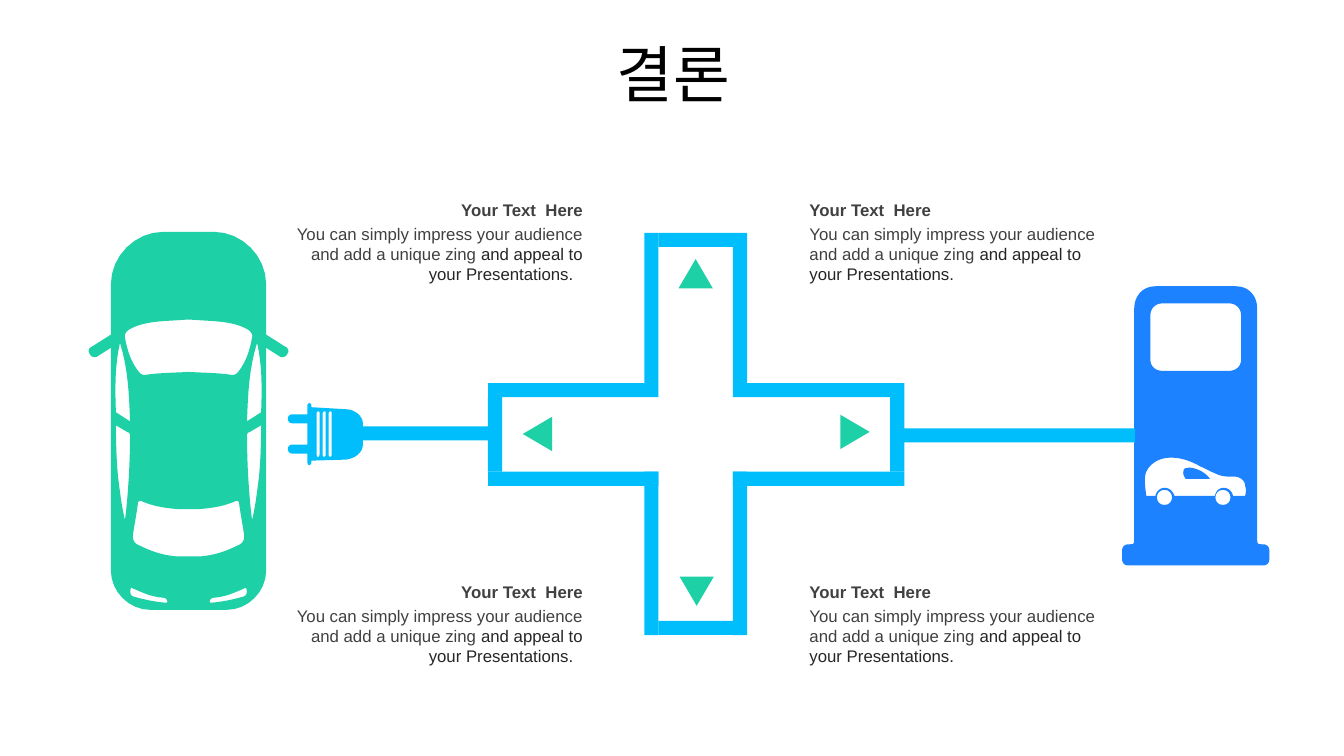
import pptx
import pptx.dml.color
import pptx.enum.shapes
import pptx.enum.text
import pptx.util
from lxml import etree

Inches = pptx.util.Inches
ALIGN = pptx.enum.text.PP_ALIGN
SHAPES = pptx.enum.shapes.MSO_SHAPE
SKY, GREEN, BLUE = "00BDFB", "1ED0A6", "1C82FF"

TITLE = "결론"
HEADING = "Your Text  Here"
BODY = [("You can simply impress your audience and add a unique zing ", "404040"),
        ("and appeal to your Presentations.  ", "262626")]
NOTE_COLUMNS = [(2.78, 3.1, ALIGN.RIGHT), (7.93, 3.08, ALIGN.LEFT)]
NOTE_ROWS = [1.93, 5.72]

# Road cross: outer edges, and the inner edges of the two lanes
BAR = 0.14
LEFT, RIGHT, TOP, BOTTOM = 4.84, 8.97, 2.31, 6.3
LANE_LEFT, LANE_RIGHT, LANE_TOP, LANE_BOTTOM = 6.53, 7.27, 3.94, 4.68
CABLES = [(3.58, 4.23, 1.31), (8.96, 4.25, 2.3)]
ARROWS = [(6.73, 2.57, 0), (8.31, 4.14, 90), (6.74, 5.72, 180), (5.16, 4.16, 270)]

# Outlines use M (start), L (line) and C (curve), in inches on the slide.
CAR_AXIS = 1.87
CAR_HALVES = [  # body, windscreen, rear window
    "M 1.87 2.3 L 1.62 2.3 C 1.34 2.3 1.1 2.54 1.1 2.82 L 1.1 3.32 L 0.91 3.44 "
    "C 0.88 3.45 0.87 3.49 0.89 3.51 C 0.9 3.54 0.94 3.55 0.96 3.54 L 1.1 3.45 "
    "L 1.1 5.66 C 1.1 5.87 1.28 6.05 1.49 6.05 L 1.87 6.05",
    "M 1.87 3.17 L 1.71 3.18 C 1.54 3.19 1.4 3.2 1.28 3.27 C 1.25 3.29 1.23 3.32 1.24 3.35 "
    "C 1.26 3.47 1.3 3.59 1.37 3.68 C 1.39 3.71 1.41 3.72 1.44 3.72 "
    "C 1.56 3.7 1.67 3.7 1.87 3.69",
    "M 1.87 5.05 L 1.76 5.05 C 1.63 5.04 1.51 5.02 1.4 4.97 C 1.38 4.97 1.38 4.97 1.37 4.98 "
    "C 1.36 5.07 1.33 5.22 1.32 5.3 C 1.31 5.35 1.33 5.39 1.38 5.41 "
    "C 1.5 5.47 1.62 5.51 1.75 5.52 L 1.87 5.52"]
CAR_SIDES = [  # front door glass, rear door glass, lamp
    "M 1.19 3.4 C 1.14 3.62 1.14 3.85 1.15 4.09 L 1.29 4.18 C 1.28 3.9 1.27 3.66 1.19 3.4",
    "M 1.15 4.22 C 1.15 4.45 1.16 4.61 1.17 4.72 C 1.19 4.89 1.21 5.04 1.24 5.16 "
    "C 1.27 4.93 1.29 4.6 1.29 4.32 C 1.29 4.3 1.28 4.29 1.27 4.29 L 1.15 4.22",
    "M 1.3 5.83 C 1.29 5.85 1.28 5.91 1.33 5.92 C 1.44 5.95 1.53 5.97 1.65 5.98 "
    "C 1.67 5.98 1.66 5.93 1.62 5.93 C 1.51 5.92 1.46 5.9 1.3 5.83"]

STATION_AXIS = 11.86
STATION_HALVES = [  # housing, screen
    "M 11.86 2.84 L 11.46 2.84 C 11.33 2.84 11.25 2.94 11.25 3.06 L 11.25 5.36 "
    "C 11.25 5.4 11.24 5.4 11.19 5.4 C 11.16 5.4 11.13 5.42 11.13 5.46 L 11.13 5.55 "
    "C 11.13 5.59 11.16 5.61 11.19 5.61 L 11.86 5.61",
    "M 11.86 3.01 L 11.53 3.01 C 11.46 3.01 11.41 3.06 11.41 3.13 L 11.41 3.57 "
    "C 11.41 3.64 11.47 3.68 11.53 3.68 L 11.86 3.68"]
STATION_CAR = [  # side view, its window
    "M 11.61 4.54 C 11.48 4.54 11.38 4.62 11.36 4.71 C 11.35 4.78 11.36 4.85 11.37 4.92 "
    "L 11.46 4.92 C 11.47 4.87 11.51 4.84 11.55 4.84 C 11.6 4.84 11.63 4.87 11.65 4.92 "
    "L 12.05 4.92 C 12.06 4.87 12.09 4.84 12.14 4.84 C 12.18 4.84 12.22 4.87 12.23 4.92 "
    "L 12.35 4.92 C 12.36 4.88 12.36 4.85 12.35 4.82 C 12.35 4.78 12.32 4.74 12.26 4.73 "
    "C 12.18 4.73 12.12 4.73 12.06 4.7 C 12.01 4.68 11.96 4.65 11.91 4.63 "
    "C 11.84 4.59 11.74 4.54 11.61 4.54",
    "M 11.81 4.64 C 11.89 4.65 11.97 4.7 12 4.75 L 11.76 4.75 "
    "C 11.74 4.72 11.73 4.7 11.74 4.67 C 11.74 4.64 11.78 4.64 11.81 4.64"]
WHEEL = ("M 11.55 4.86 C 11.45 4.86 11.45 5.01 11.55 5.01 "
         "C 11.65 5.01 11.65 4.86 11.55 4.86")
WHEEL_GAP = 0.58

PLUG_BODY = ("M 3.07 4 C 3.08 4 3.09 4.01 3.09 4.04 L 3.43 4.06 C 3.52 4.06 3.6 4.13 3.6 4.2 "
             "L 3.6 4.41 C 3.6 4.49 3.52 4.55 3.43 4.56 L 3.09 4.57 "
             "C 3.09 4.63 3.05 4.62 3.05 4.59 L 3.05 4.02 C 3.05 4.01 3.06 4 3.07 4")
PLUG_PRONG = "M 2.9 4.11 L 3.05 4.11 L 3.05 4.2 L 2.9 4.2 C 2.84 4.2 2.84 4.11 2.9 4.11"
PLUG_SLOT = ("M 3.16 4.08 C 3.15 4.08 3.14 4.09 3.14 4.1 L 3.14 4.51 "
             "C 3.14 4.54 3.17 4.54 3.17 4.51 L 3.17 4.1 C 3.17 4.09 3.17 4.08 3.16 4.08")


def color(hex_string):
    """Turn a hex string into a colour."""
    return pptx.dml.color.RGBColor.from_string(hex_string)


def trace(outline, steps=8):
    """Turn an outline string into points, sampling its cubic curves."""
    points = []
    for part in outline.replace("L", "|L").replace("C", "|C").split("|"):
        numbers = [float(word) for word in part.split()[1:]]
        ends = list(zip(numbers[::2], numbers[1::2]))
        if len(ends) == 1:
            points += ends
            continue
        curve = [points[-1]] + ends
        for step in range(1, steps + 1):
            t = step / steps
            weights = [(1 - t) ** 3, 3 * t * (1 - t) ** 2, 3 * t * t * (1 - t), t ** 3]
            points.append(tuple(sum(w * p[i] for w, p in zip(weights, curve)) for i in (0, 1)))
    return points


def mirror(points, axis):
    """Reflect points across a vertical axis, in reverse order."""
    return [(2 * axis - x, y) for x, y in reversed(points)]


def whole(outline, axis):
    """Complete a half outline with its reflection."""
    half = trace(outline)
    return half + mirror(half, axis)


def shift(points, dx=0, dy=0):
    """Move points by a distance."""
    return [(x + dx, y + dy) for x, y in points]


def paint(shape, fill):
    """Give a shape a flat fill without line or shadow."""
    shape.shadow.inherit = False
    shape.fill.solid()
    shape.fill.fore_color.rgb = color(fill)
    shape.line.fill.background()


def add_outline(contours, fill):
    """Draw contours as one freeform; inner contours become holes."""
    builder = None
    for contour in contours:
        points = [(Inches(x), Inches(y)) for x, y in contour]
        if builder is None:
            builder = slide.shapes.build_freeform(*points[0])
        else:
            builder.move_to(*points[0])
        builder.add_line_segments(points[1:], close=True)
    paint(builder.convert_to_shape(), fill)


def add_preset(kind, left, top, width, height, fill, rotation=0):
    """Draw a preset shape."""
    shape = slide.shapes.add_shape(kind, *map(Inches, (left, top, width, height)))
    shape.rotation = rotation
    paint(shape, fill)


def add_text(box, pieces, size, font, align, bold=False):
    """Add one paragraph of coloured pieces and return its frame."""
    frame = slide.shapes.add_textbox(*map(Inches, box)).text_frame
    frame.word_wrap = True
    paragraph = frame.paragraphs[0]
    paragraph.alignment = align
    for text, hex_string in pieces:
        run = paragraph.add_run()
        run.text = text
        run.font.size, run.font.name, run.font.bold = pptx.util.Pt(size), font, bold
        run.font.color.rgb = color(hex_string)
        latin = run.font._element.find("{*}latin")
        east_asian = etree.Element(latin.tag.replace("latin", "ea"), typeface=font)
        latin.addnext(east_asian)
    return frame


deck = pptx.Presentation()
deck.slide_width, deck.slide_height = Inches(13.33), Inches(7.5)
slide = deck.slides.add_slide(deck.slide_layouts[6])

title = add_text((0.35, 0.37, 12.66, 0.79), [(TITLE, "000000")], 44, "Noto Sans CJK KR",
                 ALIGN.CENTER)
title.vertical_anchor = pptx.enum.text.MSO_ANCHOR.MIDDLE
title.paragraphs[0].line_spacing = 0.9
title.paragraphs[0].space_before = pptx.util.Pt(10)

for left, width, align in NOTE_COLUMNS:
    for top in NOTE_ROWS:
        add_text((left, top + 0.24, width, 0.71), BODY, 12, "Arial", align)
        add_text((left, top, width, 0.3), [(HEADING, "404040")], 12, "Arial", align, True)

wheel = trace(WHEEL)
add_outline([whole(half, STATION_AXIS) for half in STATION_HALVES]
            + [trace(part) for part in STATION_CAR] + [wheel, shift(wheel, WHEEL_GAP)], BLUE)

bars = [(left, top, length, BAR) for left, top, length in CABLES]
for x in (LANE_LEFT - BAR, LANE_RIGHT):
    bars += [(x, TOP, BAR, LANE_TOP - TOP - BAR), (x, LANE_BOTTOM, BAR, BOTTOM - LANE_BOTTOM)]
for y in (LANE_TOP - BAR, LANE_BOTTOM):
    bars += [(LEFT, y, LANE_LEFT - LEFT, BAR), (LANE_RIGHT, y, RIGHT - LANE_RIGHT, BAR)]
for y in (TOP, BOTTOM - BAR):
    bars.append((LANE_LEFT, y, LANE_RIGHT - LANE_LEFT, BAR))
for x in (LEFT, RIGHT - BAR):
    bars.append((x, LANE_TOP, BAR, LANE_BOTTOM - LANE_TOP))
for bar in bars:
    add_preset(SHAPES.RECTANGLE, *bar, SKY)
for left, top, rotation in ARROWS:
    add_preset(SHAPES.ISOSCELES_TRIANGLE, left, top, 0.34, 0.29, GREEN, rotation)

prong, slot = trace(PLUG_PRONG), trace(PLUG_SLOT)
add_outline([trace(PLUG_BODY)] + [shift(prong, dy=0.3 * i) for i in range(2)]
            + [shift(slot, 0.06 * i) for i in range(3)], SKY)

sides = [trace(side) for side in CAR_SIDES]
add_outline([whole(half, CAR_AXIS) for half in CAR_HALVES] + sides
            + [mirror(side, CAR_AXIS) for side in sides], GREEN)

deck.save("out.pptx")
